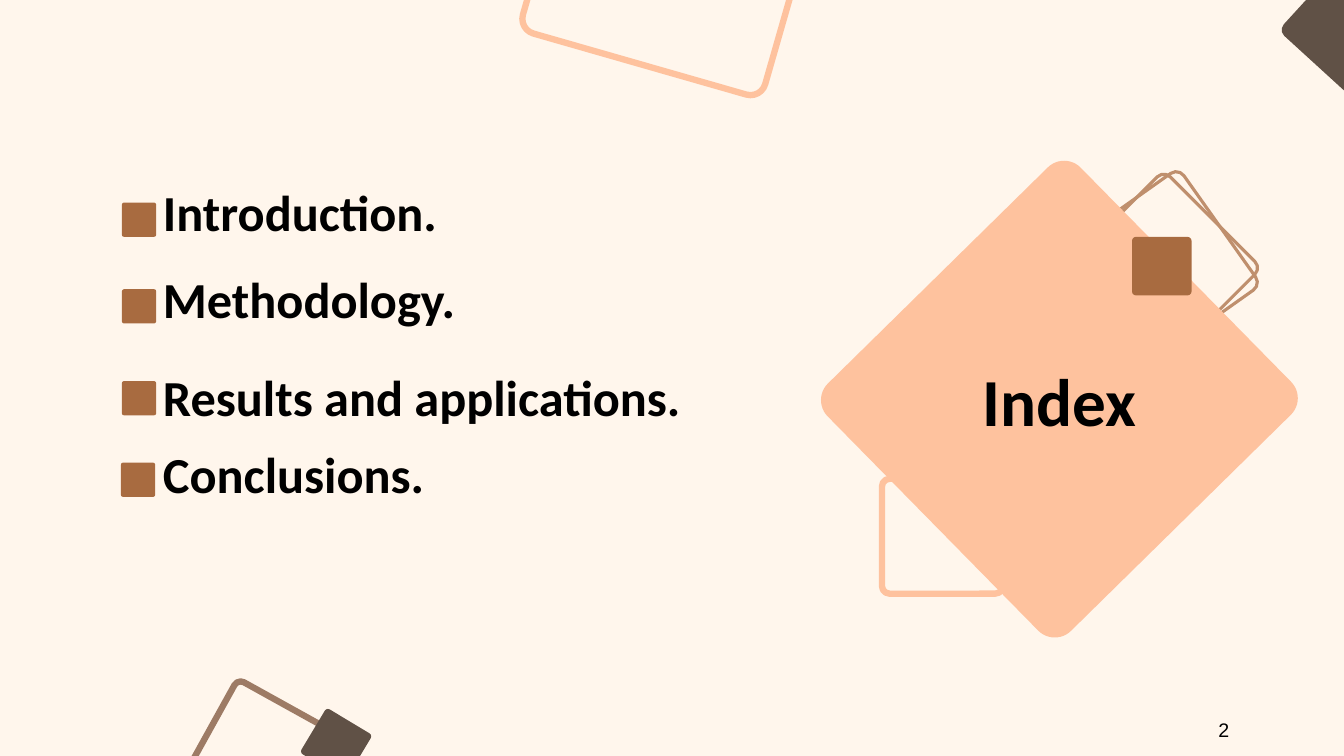
from dataclasses import dataclass
from typing import Optional

import pptx
import pptx.dml.color
import pptx.enum.shapes
import pptx.enum.text
import pptx.oxml
import pptx.util

Pt = pptx.util.Pt
ALIGN = pptx.enum.text.PP_ALIGN


@dataclass(frozen=True)
class Theme:
    cream: str = "FFF6EC"
    peach: str = "FEC29E"
    tan: str = "BF8F6D"
    taupe: str = "9D7B65"
    brown: str = "A86B40"
    dark: str = "605146"
    ink: str = "000000"
    font: str = "Calibri"
    number_font: str = "Arial"
    title_size: float = 48
    list_size: float = 36
    number_size: float = 14
    corner: float = 0.067


@dataclass(frozen=True)
class Tile:
    """A rounded square, filled unless it has a line width."""
    left: float
    top: float
    width: float
    height: float
    color: str
    rotation: float = 0
    line: Optional[float] = None


@dataclass(frozen=True)
class Topic:
    text: str
    space_before: float
    marker_left: float
    marker_top: float


THEME = Theme()
MARKER_SIZE = 24.5

TILES = [
    Tile(779, 140.4, 102.2, 100.8, THEME.tan, 54.7, 2.25),
    Tile(781.2, 141.8, 98.6, 100.8, THEME.tan, 45, 2.25),
    Tile(389.5, -113.8, 180, 162.7, THEME.peach, 16, 4.5),
    Tile(632.9, 158.4, 247.7, 253.4, THEME.peach, 45.5),
    Tile(146.9, 499.7, 79.9, 74.2, THEME.taupe, 29, 4.5),
    Tile(221, 512.6, 38.2, 37.4, THEME.dark, 31),
    Tile(630, 342, 86.4, 82.1, THEME.peach, 0, 4.5),
    Tile(808.6, 169.2, 42.5, 41.8, THEME.brown),
    Tile(931, -24.5, 89.3, 87.8, THEME.dark, 42.4),
]

TOPICS = [
    Topic("Introduction.", 0, 87.1, 144.7),
    Topic("Methodology.", 18.7, 87.1, 206.6),
    Topic("Results and applications.", 26.6, 87.1, 272.2),
    Topic("Conclusions.", 12.2, 86.4, 330.5),
]


def rgb(value: str) -> pptx.dml.color.RGBColor:
    return pptx.dml.color.RGBColor.from_string(value)


def draw_tile(s, tile: Tile) -> None:
    sp = s.shapes.add_shape(
        pptx.enum.shapes.MSO_SHAPE.ROUNDED_RECTANGLE,
        Pt(tile.left), Pt(tile.top), Pt(tile.width), Pt(tile.height))
    sp.adjustments[0] = THEME.corner
    sp.rotation = tile.rotation
    sp.shadow.inherit = False
    if tile.line is None:
        sp.fill.solid()
        sp.fill.fore_color.rgb = rgb(tile.color)
        sp.line.fill.background()
    else:
        sp.fill.background()
        sp.line.color.rgb = rgb(tile.color)
        sp.line.width = Pt(tile.line)


def place(sp, left: float, top: float, width: float, height: float):
    """Move a text holder, set its frame up and return the frame."""
    sp.left, sp.top, sp.width, sp.height = Pt(left), Pt(top), Pt(width), Pt(height)
    tf = sp.text_frame
    tf.word_wrap = True
    tf.auto_size = pptx.enum.text.MSO_AUTO_SIZE.NONE
    tf.vertical_anchor = pptx.enum.text.MSO_ANCHOR.TOP
    return tf


def add_run(p, text: str, size: float, font: str, bold: bool) -> None:
    r = p.add_run()
    r.text = text
    r.font.size = Pt(size)
    r.font.name = font
    r.font.bold = bold
    r.font.color.rgb = rgb(THEME.ink)


def remove_bullet(p) -> None:
    pPr = p._p.get_or_add_pPr()
    pPr.set("marL", "0")
    pPr.set("indent", "0")
    pPr.append(pptx.oxml.parse_xml(
        '<a:buNone xmlns:a="http://schemas.openxmlformats.org/drawingml/2006/main"/>'))


def main() -> None:
    prs = pptx.Presentation()
    prs.slide_width, prs.slide_height = Pt(960), Pt(540)
    s = prs.slides.add_slide(prs.slide_layouts[1])
    s.background.fill.solid()
    s.background.fill.fore_color.rgb = rgb(THEME.cream)

    # Decoration and list markers
    for tile in TILES:
        draw_tile(s, tile)
    for topic in TOPICS:
        draw_tile(s, Tile(topic.marker_left, topic.marker_top,
                          MARKER_SIZE, MARKER_SIZE, THEME.brown))

    # Title, brought in front of the large diamond
    title = s.shapes.title
    title.element.getparent().append(title.element)
    p = place(title, 443.5, 253.4, 626.4, 65.5).paragraphs[0]
    p.alignment = ALIGN.CENTER
    add_run(p, "Index", THEME.title_size, THEME.font, True)

    # Topic list
    tf = place(s.placeholders[1], 109.2, 126, 470.2, 240.5)
    for i, topic in enumerate(TOPICS):
        p = tf.add_paragraph() if i else tf.paragraphs[0]
        p.alignment = ALIGN.JUSTIFY
        p.space_before = Pt(topic.space_before)
        remove_bullet(p)
        add_run(p, topic.text, THEME.list_size, THEME.font, True)

    # Slide number
    number = s.shapes.add_textbox(0, 0, 0, 0)
    p = place(number, 863.3, 509, 216, 24.5).paragraphs[0]
    add_run(p, "2", THEME.number_size, THEME.number_font, False)

    prs.save("out.pptx")


if __name__ == "__main__":
    main()
